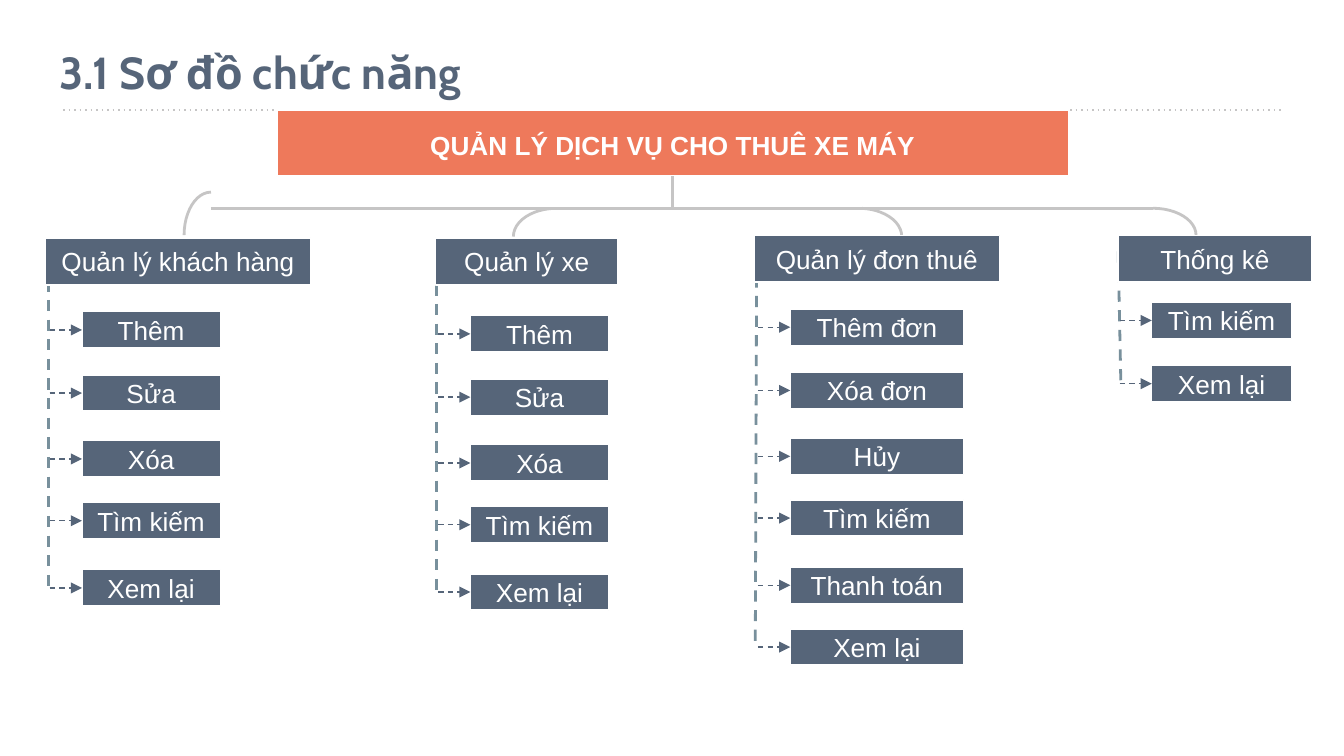
import pptx
import pptx.util
import pptx.dml.color
import pptx.enum.shapes
import pptx.enum.text
import pptx.oxml.ns
from lxml import etree

Inches = pptx.util.Inches
Pt = pptx.util.Pt
SHAPE = pptx.enum.shapes.MSO_SHAPE
ANCHOR = pptx.enum.text.MSO_ANCHOR
ALIGN = pptx.enum.text.PP_ALIGN

COLORS = {
    "white": "FFFFFF",
    "slate": "566579",
    "coral": "EE795B",
    "grey": "C6C5C5",
    "trunk": "78909C",
}
LABEL_FONT = {"name": "Arial", "size": Pt(14), "bold": False}
ROOT_FONT = {"name": "Arial", "size": Pt(14), "bold": True}
TITLE_FONT = {"name": "Cabin", "size": Pt(24), "bold": True}
LEAF_OFFSETS = (0, 0.47, 0.96, 1.42, 1.92, 2.38)
LEAF_HEIGHT = 0.27
LEAF_INDENT = 0.25

BASIC_ACTIONS = ["Thêm", "Sửa", "Xóa", "Tìm kiếm", "Xem lại"]
BRANCHES = [
    {"name": "Quản lý khách hàng", "box": (0.34, 1.77, 1.97, 0.35),
     "trunk": (0.36, 0.36), "trunk_top": 1.94, "leaf_top": 2.32,
     "leaf_width": 1.03, "actions": BASIC_ACTIONS},
    {"name": "Quản lý xe", "box": (3.24, 1.77, 1.36, 0.35),
     "trunk": (3.25, 3.25), "trunk_top": 1.97, "leaf_top": 2.35,
     "leaf_width": 1.03, "actions": BASIC_ACTIONS},
    {"name": "Quản lý đơn thuê", "box": (5.61, 1.75, 1.83, 0.35),
     "trunk": (5.63, 5.62), "trunk_top": 1.91, "leaf_top": 2.3,
     "leaf_width": 1.29,
     "actions": ["Thêm đơn", "Xóa đơn", "Hủy", "Tìm kiếm", "Thanh toán", "Xem lại"]},
    {"name": "Thống kê", "box": (8.32, 1.75, 1.44, 0.35),
     "trunk": (8.32, 8.34), "trunk_top": 1.87, "leaf_top": 2.25,
     "leaf_width": 1.04, "actions": ["Tìm kiếm", "Xem lại"]},
]
ARCS = [
    {"box": (1.37, 1.43, 0.4, 0.64), "angles": (108, 162), "rotation": 0},
    {"box": (3.93, 1.44, 0.42, 0.64), "angles": (162, 210.83), "rotation": 270},
    {"box": (6.07, 1.55, 0.64, 0.42), "angles": (166.11, 0), "rotation": 0},
    {"box": (8.26, 1.55, 0.64, 0.4), "angles": (162, 0), "rotation": 0},
]


def rgb(color):
    """Return the named colour as an RGB value."""
    return pptx.dml.color.RGBColor.from_string(COLORS[color])


def style_font(font, values, color):
    """Apply a dict of font values and a colour."""
    for attribute, value in values.items():
        setattr(font, attribute, value)
    font.color.rgb = rgb(color)


def add_line(slide, start, end, color, width, dash=None, arrow=False):
    """Draw a straight line, optionally dashed or with an arrowhead."""
    line = slide.shapes.add_connector(
        pptx.enum.shapes.MSO_CONNECTOR.STRAIGHT,
        *(Inches(value) for value in (*start, *end)))
    line.line.color.rgb = rgb(color)
    line.line.width = Pt(width)
    properties = line.line._get_or_add_ln()
    if dash:
        etree.SubElement(properties, pptx.oxml.ns.qn("a:prstDash"), val=dash)
    if arrow:
        etree.SubElement(properties, pptx.oxml.ns.qn("a:tailEnd"), type="triangle")
    etree.SubElement(line._element.spPr, pptx.oxml.ns.qn("a:effectLst"))
    return line


def add_block(slide, box, fill, border, text="", font=LABEL_FONT):
    """Draw a filled rectangle with a centred label."""
    block = slide.shapes.add_shape(SHAPE.RECTANGLE, *map(Inches, box))
    block.shadow.inherit = False
    block.fill.solid()
    block.fill.fore_color.rgb = rgb(fill)
    block.line.color.rgb = rgb("white")
    block.line.width = Pt(border)
    if text:
        frame = block.text_frame
        frame.vertical_anchor = ANCHOR.MIDDLE
        frame.margin_left = frame.margin_right = 0
        frame.text = text
        frame.paragraphs[0].alignment = ALIGN.CENTER
        style_font(frame.paragraphs[0].runs[0].font, font, "white")
    return block


def add_title(slide, box, text):
    """Place the title and the dotted rule below it."""
    left, top, width, height = box
    add_line(slide, (left + 0.13, top + 0.59), (left + width - 0.13, top + 0.59),
             "grey", 0.75, "dot")
    title = slide.shapes.title
    title.left, title.top, title.width, title.height = map(Inches, box)
    frame = title.text_frame
    for side in ("left", "top", "right", "bottom"):
        setattr(frame, f"margin_{side}", Inches(0.1))
    frame.vertical_anchor = ANCHOR.TOP
    frame.auto_size = pptx.enum.text.MSO_AUTO_SIZE.NONE
    frame.text = text
    frame.paragraphs[0].alignment = ALIGN.LEFT
    style_font(frame.paragraphs[0].runs[0].font, TITLE_FONT, "slate")


def add_root(slide, box, text):
    """Draw the root function with its stem, crossbar and curved ends."""
    left, top, width, height = box
    root = add_block(slide, box, "coral", 1, text, ROOT_FONT)
    paragraph = root.text_frame.paragraphs[0]
    paragraph.line_spacing = 1.15
    paragraph.space_after = Pt(10)
    center, bottom = left + width / 2, top + height
    crossbar = bottom + 0.24
    add_line(slide, (left - 0.49, crossbar), (left + width + 0.63, crossbar), "grey", 1.5)
    stem = add_line(slide, (center, bottom), (center, crossbar), "grey", 1.5)
    stem.begin_connect(root, 2)
    for bend in ARCS:
        arc = slide.shapes.add_shape(SHAPE.ARC, *map(Inches, bend["box"]))
        arc.shadow.inherit = False
        arc.fill.background()
        arc.line.color.rgb = rgb("grey")
        arc.line.width = Pt(1.5)
        arc.rotation = bend["rotation"]
        for index, angle in enumerate(bend["angles"]):
            arc.adjustments[index] = angle


def add_branch(slide, box, name, trunk, trunk_top, leaf_top, leaf_width, actions):
    """Draw a function group: its trunk, its actions and its heading."""
    tops = [leaf_top + offset for offset in LEAF_OFFSETS[:len(actions)]]
    middle = LEAF_HEIGHT / 2
    add_line(slide, (trunk[0], trunk_top), (trunk[1], tops[-1] + middle),
             "trunk", 1.5, "dash")
    leaf_left = trunk[0] + LEAF_INDENT
    for top, action in zip(tops, actions):
        leaf = add_block(slide, (leaf_left, top, leaf_width, LEAF_HEIGHT),
                         "slate", 0.75, action)
        arrow = add_line(slide, (trunk[0] + 0.01, top + middle),
                         (leaf_left, top + middle), "slate", 0.75, "dash", True)
        arrow.end_connect(leaf, 1)
    add_block(slide, box, "slate", 0.75, name)


def main():
    """Build the function diagram slide and save it."""
    deck = pptx.Presentation()
    deck.slide_width = Inches(10)
    deck.slide_height = deck.slide_width * 9 // 16
    slide = deck.slides.add_slide(deck.slide_layouts[5])
    add_block(slide, (0, 4.78, 10, 0.84), "white", 2)
    add_title(slide, (0.34, 0.23, 9.32, 0.51), "3.1 Sơ đồ chức năng\v")
    add_root(slide, (2.06, 0.82, 5.89, 0.49), "QUẢN LÝ DỊCH VỤ CHO THUÊ XE MÁY")
    for branch in BRANCHES:
        add_branch(slide, **branch)
    deck.save("out.pptx")


if __name__ == "__main__":
    main()
